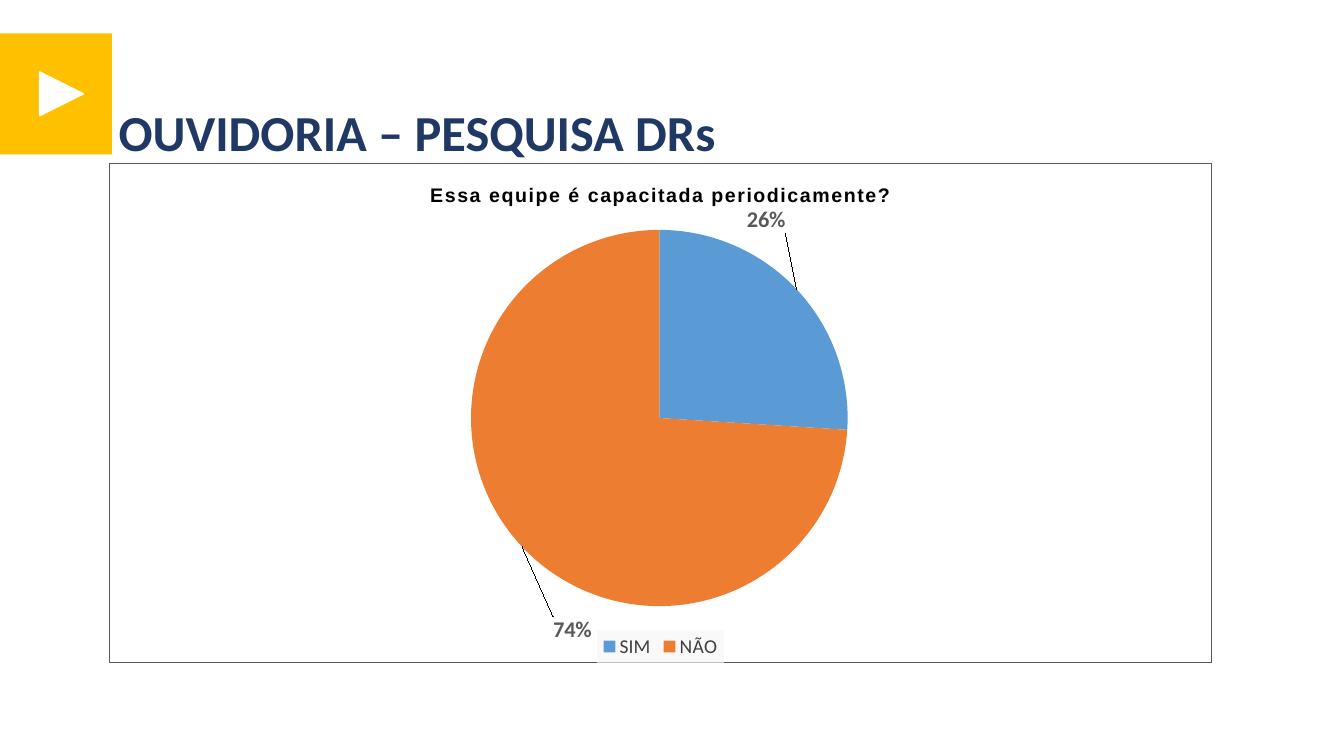
from pptx import Presentation
from pptx.chart.data import CategoryChartData
from pptx.dml.color import RGBColor
from pptx.enum.chart import XL_CHART_TYPE, XL_LABEL_POSITION, XL_LEGEND_POSITION
from pptx.enum.shapes import MSO_SHAPE
from pptx.oxml import parse_xml
from pptx.oxml.ns import nsdecls
from pptx.util import Cm, Pt

NS = nsdecls("c", "a")
SLICES = [
    ("SIM", 26, "5B9BD5", (-0.049, -0.104)),
    ("NÃO", 74, "ED7D31", (0.067, 0.132)),
]


def rgb(color):
    """Turn a hex string into a colour."""
    return RGBColor.from_string(color)


def set_font(font, name, size, color, bold=False):
    """Set the face, size, colour and weight of a font."""
    font.name, font.size, font.bold = name, Pt(size), bold
    font.color.rgb = rgb(color)


def manual_layout(**values):
    """Return a chart layout element with the given fractions."""
    items = "".join(f'<c:{key} val="{value}"/>' for key, value in values.items())
    return parse_xml(f"<c:layout {NS}><c:manualLayout>{items}</c:manualLayout></c:layout>")


def solid_box(color, line="<a:ln><a:noFill/></a:ln>"):
    """Return chart shape properties with a solid fill."""
    return parse_xml(
        f'<c:spPr {NS}><a:solidFill><a:srgbClr val="{color}"/></a:solidFill>{line}</c:spPr>'
    )


def add_marker(slide, left, top, width, height):
    """Draw the yellow block with its white arrowhead."""
    side = 1.1
    parts = [
        (MSO_SHAPE.RECTANGLE, left, top, width, height, 0, "FFC000"),
        (MSO_SHAPE.ISOSCELES_TRIANGLE, left + 1, top + (height - side) / 2, side, side, 90, "FFFFFF"),
    ]
    for kind, x, y, w, h, turn, color in parts:
        sp = slide.shapes.add_shape(kind, Cm(x), Cm(y), Cm(w), Cm(h))
        sp.shadow.inherit = False
        sp.rotation = turn
        sp.fill.solid()
        sp.fill.fore_color.rgb = rgb(color)
        if turn:
            sp.line.color.rgb = rgb(color)
            sp.line.width = Pt(1)
        else:
            sp.line.fill.background()


def add_title(slide, left, top, width, height):
    """Write the slide title."""
    tf = slide.shapes.add_textbox(Cm(left), Cm(top), Cm(width), Cm(height)).text_frame
    tf.word_wrap = True
    tf.margin_top = Cm(0.2)
    p = tf.paragraphs[0]
    p.text = "OUVIDORIA – PESQUISA DRs"
    p.line_spacing = 0.9
    set_font(p.font, "Calibri", 36, "203864", True)


def style_slices(plot):
    """Colour the slices and place their percentage labels."""
    plot.vary_by_categories = True
    for point_index, (_, _, color, (dx, dy)) in enumerate(SLICES):
        point = plot.series[0].points[point_index]
        point.format.fill.solid()
        point.format.fill.fore_color.rgb = rgb(color)
        point.format.line.fill.background()
        label = point.data_label
        set_font(label.font, "Calibri", 16, "595959", True)
        label.position = XL_LABEL_POSITION.OUTSIDE_END
        d_lbl = plot.series[0]._element.xpath("./c:dLbls/c:dLbl")[point_index]
        d_lbl.xpath("./c:idx")[0].addnext(manual_layout(x=dx, y=dy))
        d_lbl.xpath("./c:showVal")[0].set("val", "0")
        d_lbl.xpath("./c:showPercent")[0].set("val", "1")


def add_pie(slide, left, top, width, height):
    """Draw the framed pie chart of the answers."""
    data = CategoryChartData()
    data.categories = [name for name, *_ in SLICES]
    data.add_series("Series 1", [value for _, value, *_ in SLICES])
    chart = slide.shapes.add_chart(
        XL_CHART_TYPE.PIE, Cm(left), Cm(top), Cm(width), Cm(height), data
    ).chart
    set_font(chart.font, "Calibri", 10, "000000")

    chart.has_title = True
    p = chart.chart_title.text_frame.paragraphs[0]
    p.text = "Essa equipe é capacitada periodicamente?"
    set_font(p.font, "Arial", 14, "000000", True)
    p.runs[0]._r.get_or_add_rPr().set("spc", "100")
    chart.chart_title.include_in_layout = False

    chart.has_legend = True
    legend = chart.legend
    legend.position = XL_LEGEND_POSITION.BOTTOM
    legend.include_in_layout = False
    set_font(legend.font, "Calibri", 14, "404040")
    legend._element.xpath("./c:txPr")[0].addprevious(solid_box("F9F9F9"))

    style_slices(chart.plots[0])
    space = chart._chartSpace
    area = space.xpath("./c:chart/c:plotArea")[0]
    for old in area.xpath("./c:layout"):
        area.remove(old)
    area.insert(0, manual_layout(
        layoutTarget="inner", xMode="edge", yMode="edge", x=0.328, y=0.133, w=0.342, h=0.754
    ))
    border = '<a:ln w="9525"><a:solidFill><a:srgbClr val="595959"/></a:solidFill></a:ln>'
    space.xpath("./c:txPr")[0].addprevious(solid_box("FFFFFF", border))


def main():
    """Build the slide and save it."""
    prs = Presentation()
    prs.slide_width, prs.slide_height = Cm(33.87), Cm(19.05)
    slide = prs.slides.add_slide(prs.slide_layouts[6])
    add_marker(slide, 0, 0.84, 2.82, 3.05)
    add_title(slide, 2.74, 2.51, 23.88, 1.37)
    add_pie(slide, 2.74, 4.11, 27.81, 12.6)
    prs.save("out.pptx")


if __name__ == "__main__":
    main()
